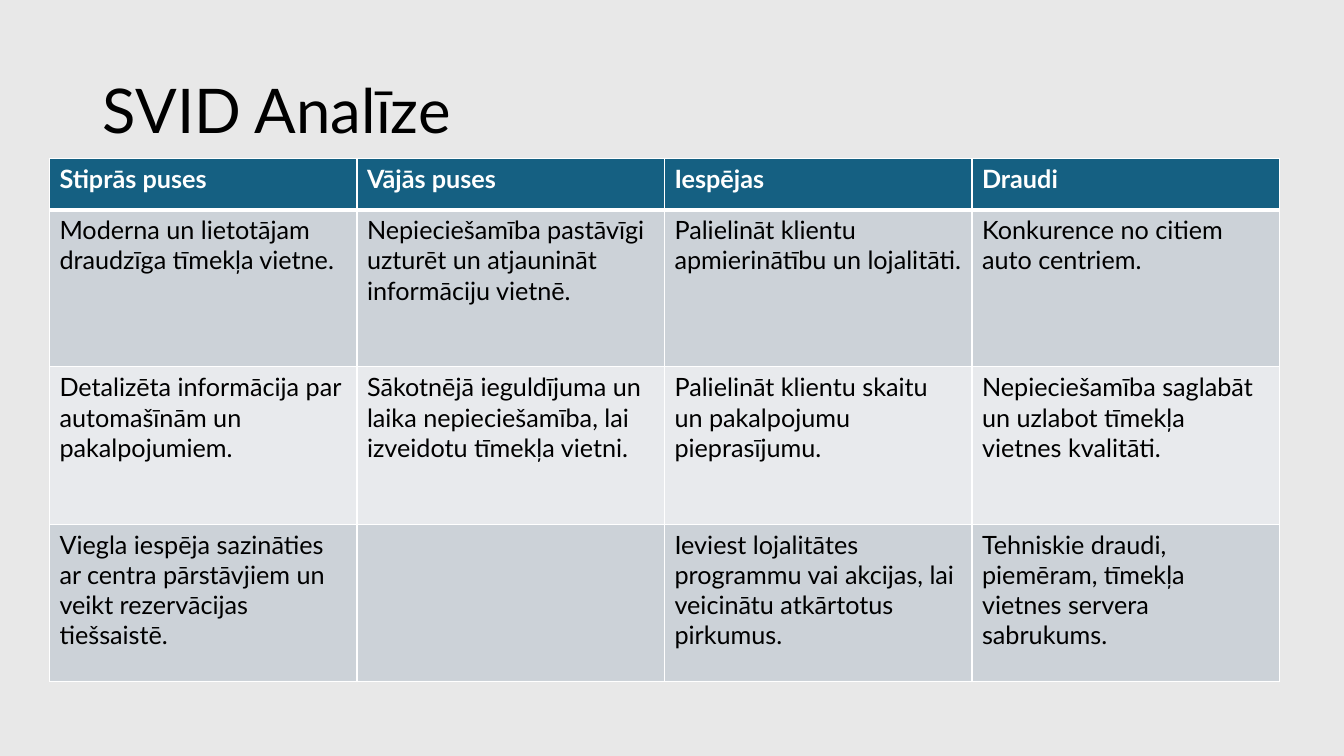
from dataclasses import dataclass
from lxml.etree import SubElement
from pptx import Presentation
from pptx.dml.color import RGBColor
from pptx.enum.text import MSO_ANCHOR, MSO_AUTO_SIZE, PP_ALIGN
from pptx.oxml.ns import qn
from pptx.util import Inches, Pt

TITLE = "SVID Analīze"
SWOT = {
    "Stiprās puses": [
        "Moderna un lietotājam draudzīga tīmekļa vietne.",
        "Detalizēta informācija par automašīnām un pakalpojumiem.",
        "Viegla iespēja sazināties ar centra pārstāvjiem un veikt rezervācijas tiešsaistē.",
    ],
    "Vājās puses": [
        "Nepieciešamība pastāvīgi uzturēt un atjaunināt informāciju vietnē.",
        "Sākotnējā ieguldījuma un laika nepieciešamība, lai izveidotu tīmekļa vietni.",
        "",
    ],
    "Iespējas": [
        "Palielināt klientu apmierinātību un lojalitāti.",
        "Palielināt klientu skaitu un pakalpojumu pieprasījumu.",
        "Ieviest lojalitātes programmu vai akcijas, lai veicinātu atkārtotus pirkumus.",
    ],
    "Draudi": [
        "Konkurence no citiem auto centriem.",
        "Nepieciešamība saglabāt un uzlabot tīmekļa vietnes kvalitāti.",
        "Tehniskie draudi, piemēram, tīmekļa vietnes servera sabrukums.",
    ],
}


@dataclass(frozen=True)
class Theme:
    font: str = "Lato"
    title_size: int = 44
    cell_size: int = 18
    background: str = "E8E8E8"
    ink: str = "000000"
    light: str = "FFFFFF"
    header: str = "156082"
    bands: tuple = ("CCD2D8", "E8EAED")
    rule: int = 1
    header_rule: int = 3


THEME = Theme()
SLIDE_W, SLIDE_H = 13.33, 7.5
TITLE_BOX = (0.92, 0.4, 11.5, 1.45)
GRID_LEFT, GRID_TOP = 0.49, 1.57
COLUMN_W, HEADER_H, BODY_H = 3.05, 0.51, 1.56


def paint(fill, color):
    fill.solid()
    fill.fore_color.rgb = RGBColor.from_string(color)


def write(paragraph, words, size, color, bold=False):
    run = paragraph.add_run()
    run.text = words
    run.font.name = THEME.font
    run.font.size = Pt(size)
    run.font.bold = bold
    run.font.color.rgb = RGBColor.from_string(color)


def draw_borders(cell, widths):
    properties = cell._tc.get_or_add_tcPr()
    for position, (side, width) in enumerate(widths.items()):
        border = SubElement(properties, qn(f"a:{side}"), w=str(Pt(width)))
        SubElement(SubElement(border, qn("a:solidFill")), qn("a:srgbClr"), val=THEME.light)
        properties.insert(position, border)


def add_title(slide):
    title = slide.shapes.title
    title.left, title.top, title.width, title.height = map(Inches, TITLE_BOX)
    frame = title.text_frame
    frame.word_wrap = True
    frame.auto_size = MSO_AUTO_SIZE.NONE
    frame.vertical_anchor = MSO_ANCHOR.MIDDLE
    heading = frame.paragraphs[0]
    heading.alignment = PP_ALIGN.LEFT
    heading.line_spacing = 0.9
    write(heading, TITLE, THEME.title_size, THEME.ink)


def add_swot(slide):
    rows = list(zip(*([name, *points] for name, points in SWOT.items())))
    heights = [HEADER_H] + [BODY_H] * (len(rows) - 1)
    table = slide.shapes.add_table(
        len(rows), len(SWOT), Inches(GRID_LEFT), Inches(GRID_TOP),
        Inches(COLUMN_W * len(SWOT)), Inches(sum(heights)),
    ).table
    for column in table.columns:
        column.width = Inches(COLUMN_W)
    for r, (points, height) in enumerate(zip(rows, heights)):
        table.rows[r].height = Inches(height)
        is_header = r == 0
        fill = THEME.header if is_header else THEME.bands[(r - 1) % 2]
        ink = THEME.light if is_header else THEME.ink
        widths = dict.fromkeys(("lnL", "lnR", "lnT", "lnB"), THEME.rule)
        if is_header:
            widths["lnB"] = THEME.header_rule
        elif r == 1:
            widths["lnT"] = THEME.header_rule
        for c, point in enumerate(points):
            cell = table.cell(r, c)
            paint(cell.fill, fill)
            draw_borders(cell, widths)
            if point:
                write(cell.text_frame.paragraphs[0], point, THEME.cell_size, ink, is_header)


def main():
    deck = Presentation()
    deck.slide_width, deck.slide_height = Inches(SLIDE_W), Inches(SLIDE_H)
    slide = deck.slides.add_slide(deck.slide_layouts[5])
    paint(slide.background.fill, THEME.background)
    add_title(slide)
    add_swot(slide)
    deck.save("out.pptx")


if __name__ == "__main__":
    main()
